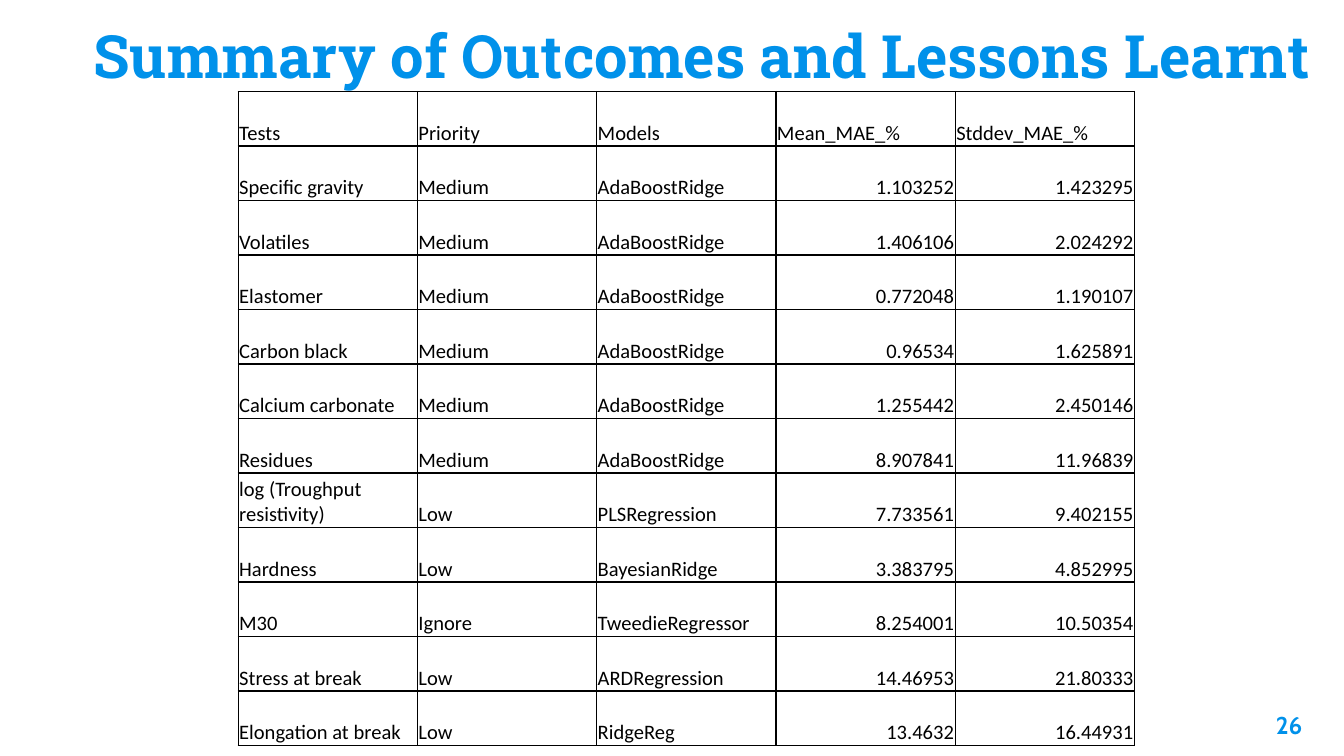
from lxml.etree import fromstring
from pptx import Presentation
from pptx.dml.color import RGBColor
from pptx.enum.text import MSO_ANCHOR, PP_ALIGN
from pptx.oxml.ns import nsdecls
from pptx.util import Cm, Pt

BLUE = RGBColor(0x00, 0x91, 0xEA)
BLACK = RGBColor(0x00, 0x00, 0x00)

HEADER = ("Tests", "Priority", "Models", "Mean_MAE_%", "Stddev_MAE_%")
RESULTS = [
    ("Specific gravity", "Medium", "AdaBoostRidge", "1.103252", "1.423295"),
    ("Volatiles", "Medium", "AdaBoostRidge", "1.406106", "2.024292"),
    ("Elastomer", "Medium", "AdaBoostRidge", "0.772048", "1.190107"),
    ("Carbon black", "Medium", "AdaBoostRidge", "0.96534", "1.625891"),
    ("Calcium carbonate", "Medium", "AdaBoostRidge", "1.255442", "2.450146"),
    ("Residues", "Medium", "AdaBoostRidge", "8.907841", "11.96839"),
    ("log (Troughput resistivity)", "Low", "PLSRegression", "7.733561", "9.402155"),
    ("Hardness", "Low", "BayesianRidge", "3.383795", "4.852995"),
    ("M30", "Ignore", "TweedieRegressor", "8.254001", "10.50354"),
    ("Stress at break", "Low", "ARDRegression", "14.46953", "21.80333"),
    ("Elongation at break", "Low", "RidgeReg", "13.4632", "16.44931"),
]
FIRST_NUMBER_COLUMN = 3


def format_paragraph(p, font, size, color, bold=False, align=PP_ALIGN.LEFT):
    p.alignment = align
    for r in p.runs:
        r.font.name = font
        r.font.size = Pt(size)
        r.font.color.rgb = color
        r.font.bold = bold


def add_text(s, text, left, top, width, height, font, size, align, anchor):
    tf = s.shapes.add_textbox(Cm(left), Cm(top), Cm(width), Cm(height)).text_frame
    tf.word_wrap = True
    tf.vertical_anchor = anchor
    tf.margin_left = tf.margin_right = tf.margin_top = tf.margin_bottom = Cm(0.25)
    tf.text = text
    format_paragraph(tf.paragraphs[0], font, size, BLUE, True, align)


def add_borders(cell):
    """Draw thin lines on all four sides; they must come first in tcPr."""
    tc_pr = cell._tc.get_or_add_tcPr()
    for i, side in enumerate("LRTB"):
        tc_pr.insert(i, fromstring(
            f'<a:ln{side} {nsdecls("a")} w="{Pt(0.75)}"><a:solidFill>'
            f'<a:srgbClr val="{BLACK}"/></a:solidFill></a:ln{side}>'))


def fill_cell(cell, text, align):
    cell.text = text
    cell.vertical_anchor = MSO_ANCHOR.BOTTOM
    cell.margin_left = cell.margin_right = cell.margin_top = Cm(0.02)
    cell.margin_bottom = 0
    cell.fill.background()
    format_paragraph(cell.text_frame.paragraphs[0], "Calibri", 11, BLACK, align=align)
    add_borders(cell)


def add_results_table(s):
    rows = [HEADER, *RESULTS]
    table = s.shapes.add_table(len(rows), len(HEADER), Cm(4.5), Cm(1.73),
                               Cm(16.94), Cm(12.36)).table
    table.first_row = table.horz_banding = False
    for i, row in enumerate(rows):
        for j, text in enumerate(row):
            is_number = i > 0 and j >= FIRST_NUMBER_COLUMN
            align = PP_ALIGN.RIGHT if is_number else PP_ALIGN.LEFT
            fill_cell(table.cell(i, j), text, align)


def main():
    prs = Presentation()
    prs.slide_width, prs.slide_height = Cm(25.4), Cm(14.29)
    s = prs.slides.add_slide(prs.slide_layouts[6])
    add_text(s, "26", 23.34, 13.18, 1.52, 1.09, "Cabin", 13,
             PP_ALIGN.RIGHT, MSO_ANCHOR.TOP)
    add_text(s, "Summary of Outcomes and Lessons Learnt", 1.52, 0, 25.22, 1.96,
             "Roboto Slab", 32, PP_ALIGN.LEFT, MSO_ANCHOR.BOTTOM)
    add_results_table(s)
    prs.save("out.pptx")


if __name__ == "__main__":
    main()
